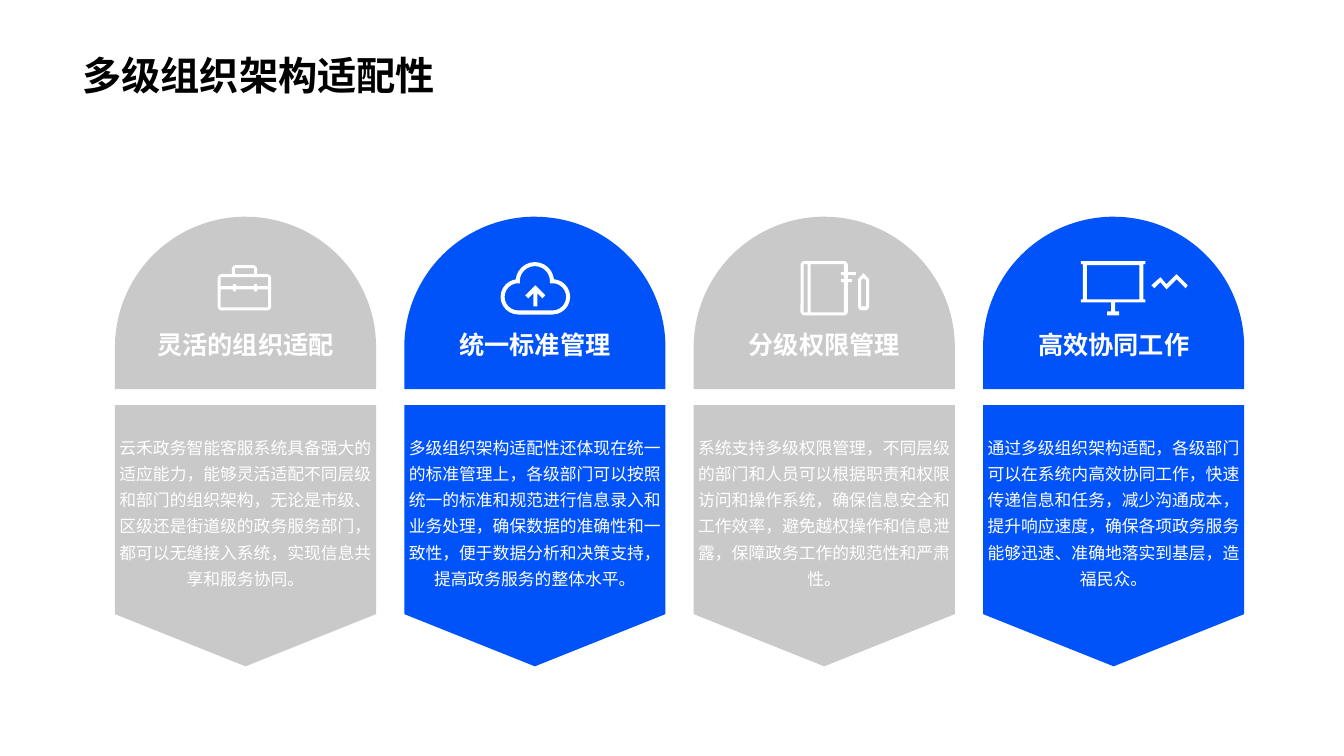
"""Build the slide on fitting a multi-level organisation: four arched cards with icons."""
from math import cos, radians, sin

from lxml.etree import Element, SubElement
from pptx import Presentation
from pptx.dml.color import RGBColor
from pptx.enum.shapes import MSO_SHAPE
from pptx.enum.text import MSO_ANCHOR, PP_ALIGN
from pptx.oxml.ns import qn
from pptx.util import Inches, Pt

COLOURS = {"grey": "C9C9C9", "blue": "0053F9", "white": "FFFFFF", "black": "000000"}
FONT = "Noto Sans CJK JP"
TITLE = "多级组织架构适配性"
CARDS = [
    ("灵活的组织适配", "grey",
     "云禾政务智能客服系统具备强大的适应能力，能够灵活适配不同层级和部门的组织架构，"
     "无论是市级、区级还是街道级的政务服务部门，都可以无缝接入系统，实现信息共享和服务协同。"),
    ("统一标准管理", "blue",
     "多级组织架构适配性还体现在统一的标准管理上，各级部门可以按照统一的标准和规范进行信息录入和业务处理，"
     "确保数据的准确性和一致性，便于数据分析和决策支持，提高政务服务的整体水平。"),
    ("分级权限管理", "grey",
     "系统支持多级权限管理，不同层级的部门和人员可以根据职责和权限访问和操作系统，"
     "确保信息安全和工作效率，避免越权操作和信息泄露，保障政务工作的规范性和严肃性。"),
    ("高效协同工作", "blue",
     "通过多级组织架构适配，各级部门可以在系统内高效协同工作，快速传递信息和任务，"
     "减少沟通成本，提升响应速度，确保各项政务服务能够迅速、准确地落实到基层，造福民众。"),
]
FORMATS = {
    "title": {"size": Pt(28), "bold": True, "name": FONT},
    "heading": {"size": Pt(18), "bold": True, "name": FONT},
    "body": {"size": Pt(12), "bold": False, "name": FONT},
}
FIRST_LEFT, CARD_STEP, CARD_WIDTH = 1.14, 2.87, 2.59
ARCH_TOP, ARCH_BOTTOM, BODY_TOP = 2.15, 3.86, 4.02


def arc(x, y, radius, *angles):
    ends = [(x + radius * cos(radians(angle)), y + radius * sin(radians(angle)))
            for angle in angles]
    return ends[:1] + [(*end, radius, start, stop - start)
                       for end, start, stop in zip(ends[1:], angles, angles[1:])]


def rectangle(left, top, right, bottom):
    return [(left, top), (right, top), (right, bottom), (left, bottom)]


def arch(left, top, right, bottom, radius):
    return (arc(left + radius, top + radius, radius, 180, 270)
            + arc(right - radius, top + radius, radius, 270, 360)
            + [(right, bottom), (left, bottom)])


def round_base(left, right, bottom, radius):
    return (arc(right - radius, bottom - radius, radius, 0, 90)
            + arc(left + radius, bottom - radius, radius, 90, 180))


def rounded(left, top, right, bottom, radius):
    return (arch(left, top, right, bottom, radius)[:-2]
            + round_base(left, right, bottom, radius))


def cloud(inset, join):
    return (arc(5.14, 2.945, 0.175 - inset, 90, 180, 264)
            + arc(5.305, 2.79, 0.19 - inset, join, 270, 540 - join)
            + arc(5.48, 2.945, 0.175 - inset, 276, 360, 450))


def pencil(left, tip, shoulder, right, radius, bottom):
    return ([(left, shoulder), ((left + right) / 2, tip), (right, shoulder)]
            + round_base(left, right, bottom, radius))


def mirrored(centre, half):
    return ([(centre + x, y) for x, y in half]
            + [(centre - x, y) for x, y in reversed(half)])


SCREEN_HALF = [(0.32, 2.59), (0.32, 2.62), (0.3, 2.62), (0.3, 2.97), (0.32, 2.97),
               (0.32, 3), (0.02, 3), (0.02, 3.09), (0.06, 3.09), (0.06, 3.13)]
ARROW_HALF = [(0, 2.83), (0.1, 2.93), (0.07, 2.96), (0.02, 2.91), (0.02, 3.04)]
ZIGZAG = [(11.67, 2.72), (11.57, 2.82), (11.51, 2.75), (11.42, 2.83), (11.45, 2.86),
          (11.51, 2.8), (11.57, 2.87), (11.67, 2.77), (11.76, 2.86), (11.78, 2.83)]
LATCHES = [rectangle(x, y, x + 0.03, y + 0.02) for x in (2.31, 2.52) for y in (2.82, 2.87)]
ICONS = [
    [rounded(2.16, 2.72, 2.69, 3.08, 0.04), rectangle(2.19, 2.75, 2.66, 2.84),
     rectangle(2.19, 2.87, 2.66, 3.05), arch(2.3, 2.63, 2.55, 2.72, 0.04),
     rectangle(2.33, 2.66, 2.52, 2.72)] + LATCHES,
    [mirrored(5.31, ARROW_HALF)],
    [cloud(0, 186), cloud(0.04, 172)],
    [rounded(7.94, 2.59, 8.41, 3.13, 0.04), rectangle(7.97, 2.62, 8.01, 3.1),
     rectangle(8.04, 2.62, 8.37, 3.1)],
    [pencil(8.51, 2.71, 2.77, 8.62, 0.04, 3.08), pencil(8.54, 2.76, 2.78, 8.59, 0.01, 3.04)],
    [ZIGZAG],
    [mirrored(11.04, SCREEN_HALF), rectangle(10.78, 2.63, 11.3, 2.97)],
]
NOTEBOOK_CLASPS = [(8.34, 2.77, 0.11, 0.03), (8.34, 2.7, 0.15, 0.03)]


def paint(shape, colour):
    shape.shadow.inherit = False
    shape.fill.solid()
    shape.fill.fore_color.rgb = RGBColor.from_string(COLOURS[colour])
    shape.line.fill.background()


def add_preset(page, kind, place, colour):
    paint(page.shapes.add_shape(kind, *map(Inches, place)), colour)


def add_outline(page, contours, colour):
    builder = None
    for contour in contours:
        points = [(Inches(x), Inches(y)) for x, y, *_ in contour]
        if builder is None:
            builder = page.shapes.build_freeform(*points[0], scale=1.0)
        else:
            builder.move_to(*points[0])
        builder.add_line_segments(points[1:], close=True)
    outline = builder.convert_to_shape()
    steps = list(outline._element.iter(qn("a:moveTo"), qn("a:lnTo")))
    for step, (_, _, *bend) in zip(steps, sum(contours, [])):
        if bend:
            radius, start, sweep = bend
            size = str(int(Inches(radius)))
            curve = Element(qn("a:arcTo"), wR=size, hR=size,
                            stAng=str(start * 60000), swAng=str(sweep * 60000))
            step.getparent().replace(step, curve)
    paint(outline, colour)


def add_text(page, place, text, style, colour, anchor, align, spacing=1.0):
    box = page.shapes.add_textbox(*map(Inches, place))
    frame = box.text_frame
    frame.word_wrap = True
    frame.vertical_anchor = anchor
    para = frame.paragraphs[0]
    para.alignment = align
    para.line_spacing = spacing
    span = para.add_run()
    span.text = text
    for name, value in FORMATS[style].items():
        setattr(span.font, name, value)
    span.font.color.rgb = RGBColor.from_string(COLOURS[colour])
    SubElement(span._r.get_or_add_rPr(), qn("a:ea"), typeface=FONT)


def main():
    deck = Presentation()
    deck.slide_width, deck.slide_height = Inches(13.33), Inches(7.5)
    page = deck.slides.add_slide(deck.slide_layouts[6])
    add_text(page, (0.72, 0.46, 11.67, 0.57), TITLE, "title", "black",
             MSO_ANCHOR.BOTTOM, PP_ALIGN.LEFT)
    for index, (heading, colour, body) in enumerate(CARDS):
        left = FIRST_LEFT + index * CARD_STEP
        add_outline(page, [arch(left, ARCH_TOP, left + CARD_WIDTH, ARCH_BOTTOM,
                                CARD_WIDTH / 2)], colour)
        add_preset(page, MSO_SHAPE.FLOWCHART_OFFPAGE_CONNECTOR,
                   (left, BODY_TOP, CARD_WIDTH, CARD_WIDTH), colour)
        add_text(page, (left, 3.22, CARD_WIDTH, 0.43), heading, "heading", "white",
                 MSO_ANCHOR.TOP, PP_ALIGN.CENTER)
        add_text(page, (left - 0.07, BODY_TOP, 2.73, 2.08), body, "body", "white",
                 MSO_ANCHOR.MIDDLE, PP_ALIGN.CENTER, 1.3)
    for contours in ICONS:
        add_outline(page, contours, "white")
    for place in NOTEBOOK_CLASPS:
        add_preset(page, MSO_SHAPE.RECTANGLE, place, "white")
    deck.save("out.pptx")


if __name__ == "__main__":
    main()
